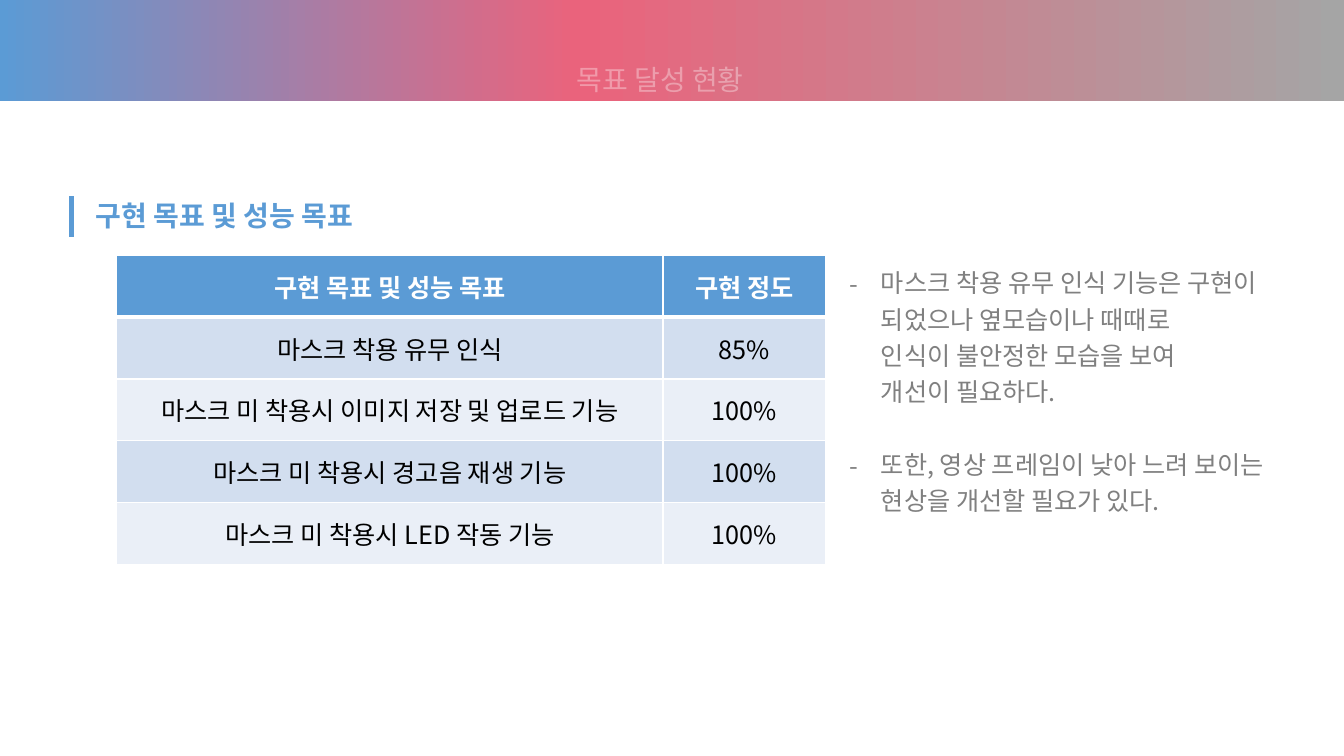
from lxml.etree import SubElement
from pptx import Presentation
from pptx.dml.color import RGBColor
from pptx.enum.shapes import MSO_CONNECTOR, MSO_SHAPE
from pptx.enum.text import MSO_ANCHOR, PP_ALIGN
from pptx.oxml import parse_xml
from pptx.oxml.ns import nsdecls, qn
from pptx.util import Cm, Pt

FONT = "Noto Sans CJK KR"
BLUE = RGBColor(0x5B, 0x9B, 0xD5)
PINK = RGBColor(0xEA, 0x63, 0x7C)
SILVER = RGBColor(0xA5, 0xA5, 0xA5)
GRAY = RGBColor(0x80, 0x80, 0x80)
DARK = RGBColor(0x40, 0x40, 0x40)
WHITE = RGBColor(0xFF, 0xFF, 0xFF)
BLACK = RGBColor(0x00, 0x00, 0x00)
ROW_FILLS = [RGBColor(0xD2, 0xDE, 0xEF), RGBColor(0xEA, 0xEF, 0xF7)]

TITLE = "목표 달성 현황"
HEADING = "구현 목표 및 성능 목표"
GOALS = [
    (HEADING, "구현 정도"),
    ("마스크 착용 유무 인식", "85%"),
    ("마스크 미 착용시 이미지 저장 및 업로드 기능", "100%"),
    ("마스크 미 착용시 경고음 재생 기능", "100%"),
    ("마스크 미 착용시 LED 작동 기능", "100%"),
]
REMARKS = [
    "마스크 착용 유무 인식 기능은 구현이 \v되었으나 옆모습이나 때때로 \v"
    "인식이 불안정한 모습을 보여 \v개선이 필요하다.",
    "또한, 영상 프레임이 낮아 느려 보이는 \v현상을 개선할 필요가 있다.",
]


def format_runs(paragraph, size, color, bold=False, outline=None):
    """Set font, size, colour and an optional faint outline on every run, without kerning."""
    for run in paragraph.runs:
        font = run.font
        font.name, font.size, font.bold = FONT, Pt(size), bold
        font.color.rgb = color
        properties = run._r.get_or_add_rPr()
        properties.set("kern", "0")
        SubElement(properties, qn("a:ea"), typeface=FONT)
        if outline is not None:
            properties.insert(0, parse_xml(
                f'<a:ln {nsdecls("a")} w="9525"><a:solidFill><a:srgbClr val="{outline}">'
                '<a:alpha val="30000"/></a:srgbClr></a:solidFill></a:ln>'))


def add_band(slide, width):
    """Draw the three-colour gradient band across the top."""
    band = slide.shapes.add_shape(MSO_SHAPE.RECTANGLE, 0, 0, width, Cm(2.54))
    band.shadow.inherit = False
    band.line.fill.background()
    band.fill.gradient()
    band.fill.gradient_angle = 0
    stop_list = band._element.spPr.find(".//" + qn("a:gsLst"))
    for stop in list(stop_list):
        stop_list.remove(stop)
    for position, color in ((0, BLUE), (43, PINK), (100, SILVER)):
        stop = SubElement(stop_list, qn("a:gs"), pos=str(position * 1000))
        SubElement(stop, qn("a:srgbClr"), val=str(color))


def add_text(slide, left, top, width, height, paragraphs, anchor=MSO_ANCHOR.TOP):
    """Add a wrapping text box and return its paragraphs."""
    box = slide.shapes.add_textbox(Cm(left), Cm(top), Cm(width), Cm(height))
    text_frame = box.text_frame
    text_frame.word_wrap = True
    text_frame.vertical_anchor = anchor
    text_frame.text = paragraphs[0]
    for text in paragraphs[1:]:
        text_frame.add_paragraph().text = text
    return text_frame.paragraphs


def add_title(slide):
    """Add the translucent title on the band."""
    paragraph = add_text(slide, 11.64, 1.37, 10, 1.24, [TITLE], MSO_ANCHOR.MIDDLE)[0]
    paragraph.alignment = PP_ALIGN.CENTER
    format_runs(paragraph, 20, WHITE)
    for color in paragraph._p.iter(qn("a:srgbClr")):
        SubElement(color, qn("a:alpha"), val="35000")


def add_heading(slide):
    """Add the section heading with its vertical accent line."""
    accent = slide.shapes.add_connector(
        MSO_CONNECTOR.STRAIGHT, Cm(1.8), Cm(4.95), Cm(1.8), Cm(5.98))
    accent.line.color.rgb = BLUE
    accent.line.width = Pt(3.5)
    SubElement(accent._element.spPr, qn("a:effectLst"))
    paragraph = add_text(slide, 2.16, 4.88, 24.87, 1.12, [HEADING])[0]
    format_runs(paragraph, 20, BLUE, bold=True, outline=SILVER)


def set_borders(cell, bottom_width):
    """Give a cell white borders, with its own bottom width in points."""
    properties = cell._tc.get_or_add_tcPr()
    widths = {"lnL": 1, "lnR": 1, "lnT": 1, "lnB": bottom_width}
    for index, (side, width) in enumerate(widths.items()):
        properties.insert(index, parse_xml(
            f'<a:{side} {nsdecls("a")} w="{Pt(width)}"><a:solidFill>'
            f'<a:srgbClr val="{WHITE}"/></a:solidFill></a:{side}>'))


def add_goal_table(slide):
    """Add the table of goals and their degree of completion."""
    table = slide.shapes.add_table(
        len(GOALS), 2, Cm(2.94), Cm(6.43), Cm(17.87), Cm(7.8)).table
    table.columns[0].width, table.columns[1].width = Cm(13.77), Cm(4.1)
    for row_index, values in enumerate(GOALS):
        is_header = row_index == 0
        table.rows[row_index].height = Cm(1.56)
        for cell, value in zip(table.rows[row_index].cells, values):
            cell.text_frame.text = value
            cell.vertical_anchor = MSO_ANCHOR.MIDDLE
            cell.fill.solid()
            cell.fill.fore_color.rgb = BLUE if is_header else ROW_FILLS[(row_index - 1) % 2]
            set_borders(cell, 3 if is_header else 1)
            paragraph = cell.text_frame.paragraphs[0]
            paragraph.alignment = PP_ALIGN.CENTER
            format_runs(paragraph, 18, WHITE if is_header else BLACK, bold=is_header)


def add_remarks(slide):
    """Add the dashed remarks beside the table."""
    paragraphs = add_text(slide, 21.16, 6.43, 12.7, 6.73, REMARKS, MSO_ANCHOR.MIDDLE)
    for index, paragraph in enumerate(paragraphs):
        paragraph.line_spacing = 1.2
        paragraph.space_before = Pt(26 * index)
        properties = paragraph._p.get_or_add_pPr()
        properties.set("marL", str(Cm(0.79)))
        properties.set("indent", str(Cm(-0.79)))
        SubElement(properties, qn("a:buFont"), typeface=FONT)
        SubElement(properties, qn("a:buChar"), char="-")
        format_runs(paragraph, 18, GRAY, outline=DARK)


def main():
    """Build the slide and save it."""
    presentation = Presentation()
    presentation.slide_width, presentation.slide_height = Cm(33.87), Cm(19.05)
    slide = presentation.slides.add_slide(presentation.slide_layouts[6])
    add_band(slide, presentation.slide_width)
    add_title(slide)
    add_heading(slide)
    add_goal_table(slide)
    add_remarks(slide)
    presentation.save("out.pptx")


main()
